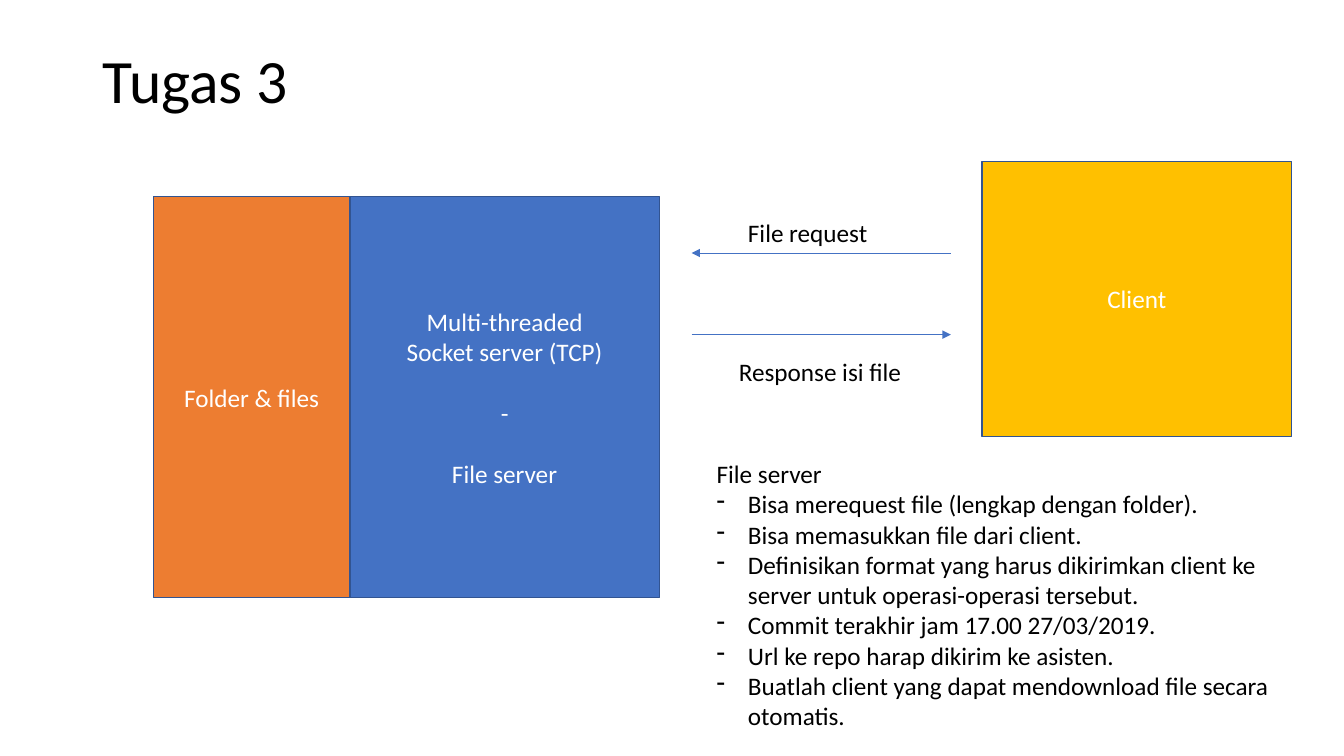
from dataclasses import dataclass

from lxml import etree
from pptx import Presentation
from pptx import util as u
from pptx.dml.color import RGBColor
from pptx.enum import shapes, text
from pptx.oxml import ns


@dataclass(frozen=True)
class Theme:
    font: str = "Calibri"
    title_size: float = 44
    body_size: float = 18
    line_height: float = 22
    outline_width: float = 1
    arrow_width: float = 0.5
    black: str = "000000"
    white: str = "FFFFFF"
    blue: str = "4472C4"
    orange: str = "ED7D31"
    gold: str = "FFC000"
    outline: str = "325491"


THEME = Theme()
TITLE_ONLY = 5
BULLET_INDENT = 0.31

SERVER_LINES = ["Multi-threaded", "Socket server (TCP)", "-", "File server"]
SERVER_GAPS = {2, 3}
TASKS = [
    "Bisa merequest file (lengkap dengan folder).",
    "Bisa memasukkan file dari client.",
    "Definisikan format yang harus dikirimkan client ke server "
    "untuk operasi-operasi tersebut.",
    "Commit terakhir jam 17.00 27/03/2019.",
    "Url ke repo harap dikirim ke asisten.",
    "Buatlah client yang dapat mendownload file secara otomatis.",
]


def inches(*values):
    return [u.Inches(value) for value in values]


def apply(target, **values):
    for name, value in values.items():
        setattr(target, name, value)


def write(para, words, color, size=THEME.body_size, **layout):
    """Put one styled span into a paragraph."""
    apply(para, **layout)
    span = para.add_run()
    span.text = words
    apply(span.font, name=THEME.font, size=u.Pt(size))
    span.font.color.rgb = RGBColor.from_string(color)


def next_para(frame, index):
    return frame.add_paragraph() if index else frame.paragraphs[0]


def add_title(slide, words):
    title = slide.shapes.title
    apply(title, **dict(zip(("left", "top", "width", "height"),
                            inches(0.92, 0.4, 11.5, 0.85))))
    apply(title.text_frame, auto_size=text.MSO_AUTO_SIZE.NONE,
          vertical_anchor=text.MSO_ANCHOR.MIDDLE)
    write(title.text_frame.paragraphs[0], words, THEME.black, THEME.title_size,
          alignment=text.PP_ALIGN.LEFT, line_spacing=0.9)


def add_block(slide, place, fill, lines, gaps=()):
    """Draw a filled rectangle; lines in gaps get one line of space above."""
    block = slide.shapes.add_shape(shapes.MSO_SHAPE.RECTANGLE, *inches(*place))
    block.shadow.inherit = False
    block.fill.solid()
    block.fill.fore_color.rgb = RGBColor.from_string(fill)
    block.line.color.rgb = RGBColor.from_string(THEME.outline)
    block.line.width = u.Pt(THEME.outline_width)
    frame = block.text_frame
    apply(frame, word_wrap=True, vertical_anchor=text.MSO_ANCHOR.MIDDLE)
    for index, words in enumerate(lines):
        space = THEME.line_height if index in gaps else 0
        write(next_para(frame, index), words, THEME.white,
              alignment=text.PP_ALIGN.CENTER, space_before=u.Pt(space))


def add_arrow(slide, start, end, y):
    arrow = slide.shapes.add_connector(
        shapes.MSO_CONNECTOR.STRAIGHT, *inches(start, y, end, y))
    arrow.line.color.rgb = RGBColor.from_string(THEME.blue)
    arrow.line.width = u.Pt(THEME.arrow_width)
    etree.SubElement(arrow.line._get_or_add_ln(), ns.qn("a:tailEnd"),
                     type="triangle")
    etree.SubElement(arrow._element.spPr, ns.qn("a:effectLst"))


def add_text(slide, place, words, wrap=False):
    box = slide.shapes.add_textbox(*inches(*place))
    apply(box.text_frame, word_wrap=wrap,
          auto_size=text.MSO_AUTO_SIZE.SHAPE_TO_FIT_TEXT)
    write(box.text_frame.paragraphs[0], words, THEME.black)
    return box.text_frame


def add_bullets(frame, items):
    for words in items:
        para = frame.add_paragraph()
        write(para, words, THEME.black)
        props = para._p.get_or_add_pPr()
        indent = u.Inches(BULLET_INDENT)
        props.set("marL", str(indent))
        props.set("indent", str(-indent))
        etree.SubElement(props, ns.qn("a:buFontTx"))
        etree.SubElement(props, ns.qn("a:buChar"), char="-")


def main():
    deck = Presentation()
    apply(deck, slide_width=u.Inches(13.33), slide_height=u.Inches(7.5))
    slide = deck.slides.add_slide(deck.slide_layouts[TITLE_ONLY])
    add_title(slide, "Tugas 3")

    # Server with its storage, and the client
    add_block(slide, (3.47, 1.95, 3.07, 3.98), THEME.blue,
              SERVER_LINES, SERVER_GAPS)
    add_block(slide, (1.52, 1.95, 1.95, 3.98), THEME.orange,
              ["Folder & files"])
    add_block(slide, (9.74, 1.6, 3.07, 2.73), THEME.gold, ["Client"])

    # Messages between client and server
    server_side, client_side = 6.86, 9.43
    add_arrow(slide, client_side, server_side, 2.51)
    add_text(slide, (7.32, 2.11, 1.4, 0.4), "File request")
    add_arrow(slide, server_side, client_side, 3.32)
    add_text(slide, (7.23, 3.49, 1.83, 0.4), "Response isi file")

    # Task list
    tasks = add_text(slide, (7.01, 4.5, 5.8, 3.13), "File server", wrap=True)
    add_bullets(tasks, TASKS)

    deck.save("out.pptx")


main()
